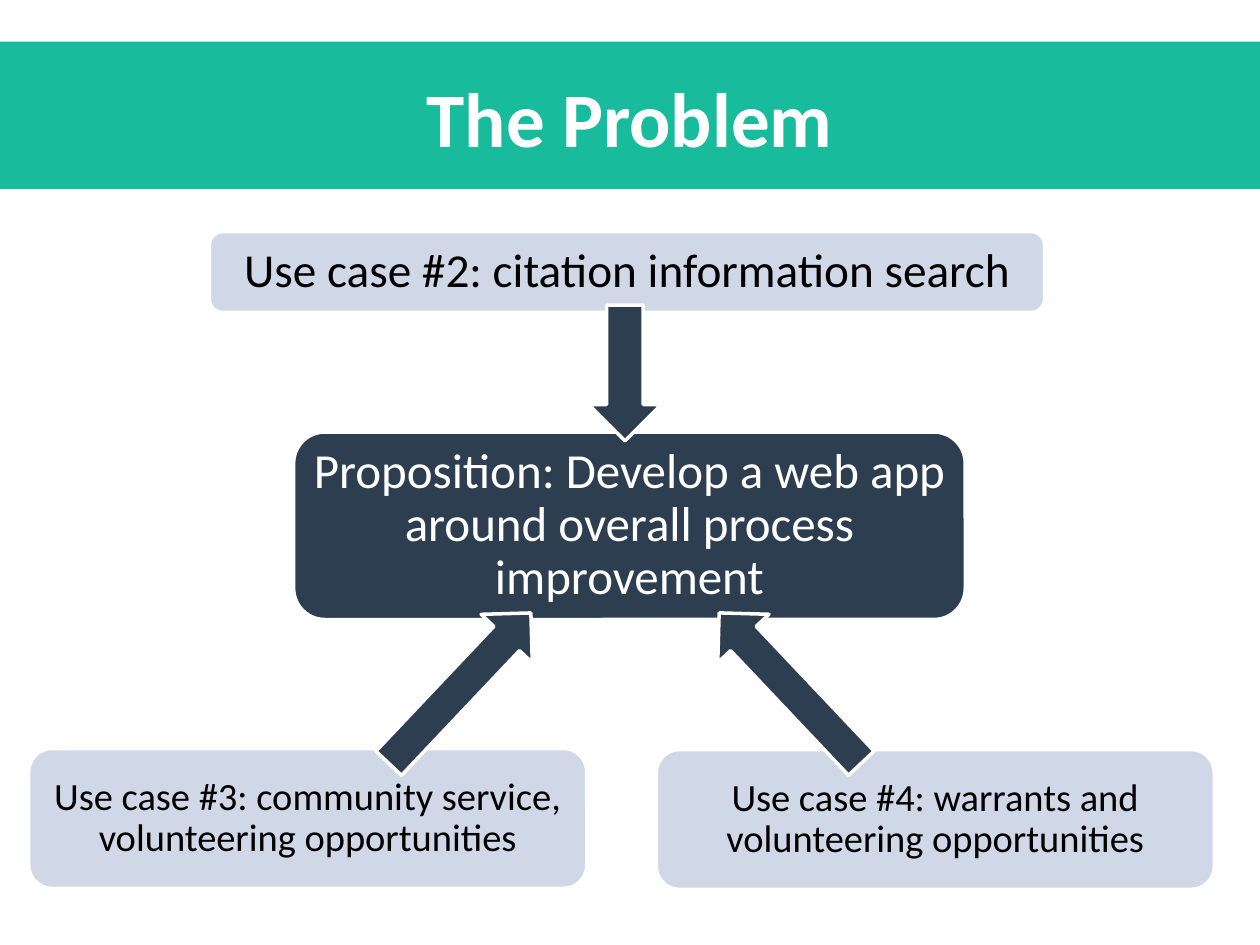
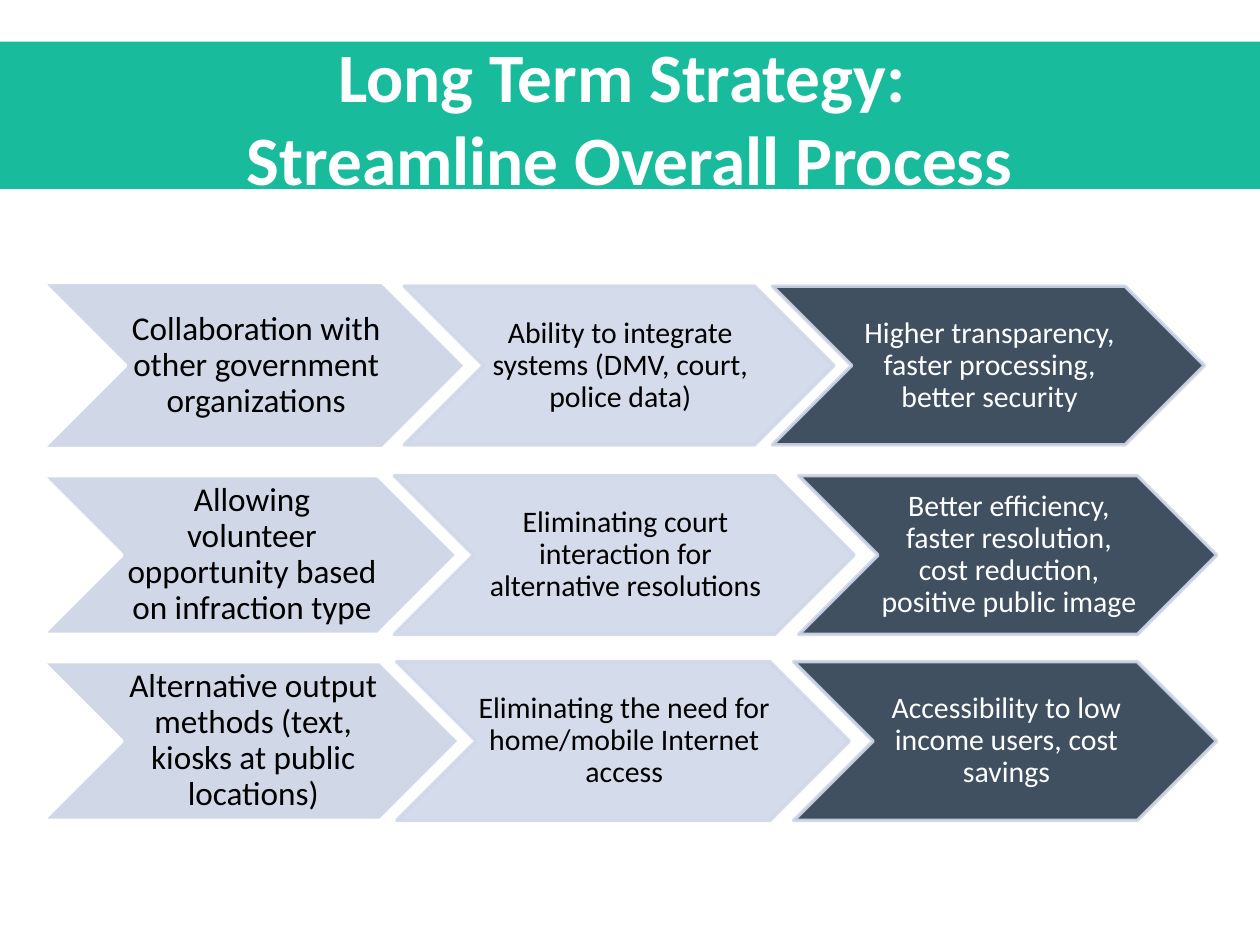
from pptx import Presentation
from pptx.dml.color import RGBColor
from pptx.enum.shapes import MSO_SHAPE as Shape
from pptx.enum.text import MSO_ANCHOR as Anchor, PP_ALIGN as Align
from pptx.oxml import parse_xml
from pptx.oxml.ns import nsdecls
from pptx.util import Cm, Pt

COLORS = {"green": "18BC9C", "navy": "2C3E50", "pale": "D0D8E8",
          "white": "FFFFFF", "black": "000000"}
FONT = "Calibri"

# Slide 1: text, (left, top, width, height) in cm, fill, text colour, size, inset
PROBLEM = "The Problem"
BOXES = [
    ("Proposition: Develop a web app around overall process improvement",
     (5.92, 8.71, 13.54, 3.78), "navy", "white", 28, 0.2),
    ("Use case #2: citation information search",
     (4.22, 4.67, 16.84, 1.63), "pale", "black", 27, 0.18),
    ("Use case #4: warrants and volunteering opportunities",
     (13.23, 15.11, 11.25, 2.82), "pale", "black", 22, 0.15),
    ("Use case #3: community service, volunteering opportunities",
     (0.58, 15.09, 11.25, 2.82), "pale", "black", 22, 0.15),
]
# Arrows: offset from their common axis, centre y, width, length, rotation
ARROW_AXIS = 12.6
ARROWS = [(0, 7.52, 1.47, 2.74, 0),
          (3.33, 13.87, 1.42, 4.17, 136.6),
          (-3.33, 13.87, 1.42, 4.17, 223.4)]

# Slide 2: rows as (centre y, height of the first chevron, cells);
# each cell is (text, left, width)
STRATEGY = "Long Term Strategy: \vStreamline Overall Process"
ROWS = [
    (7.37, 3.35, [
        ("Collaboration with other government organizations", 0.86, 8.53),
        ("Ability to integrate systems (DMV, court, police data)", 8.15, 8.66),
        ("Higher transparency, faster processing, better security", 15.57, 8.71)]),
    (11.19, 3.2, [
        ("Allowing volunteer opportunity based on infraction type", 0.86, 8.36),
        ("Eliminating court interaction for alternative resolutions", 7.95, 9.27),
        ("Better efficiency, faster resolution, cost reduction, "
         "positive public image", 16.1, 8.43)]),
    (14.94, 3.2, [
        ("Alternative output methods (text, kiosks at public locations)", 0.86, 8.41),
        ("Eliminating the need for home/mobile Internet access", 8.0, 9.12),
        ("Accessibility to low income users, cost savings", 16.0, 8.53)]),
]
STEP_HEIGHT = 3.2
# Column style: fill, line, text colour, size, left inset, opacity in percent
COLUMNS = [("pale", "white", "black", 19, 0.08, 100),
           ("pale", "pale", "black", 17, 0.05, 90),
           ("navy", "pale", "white", 17, 0.05, 90)]


def rgb(name):
    return RGBColor.from_string(COLORS[name])


def write(sp, text, size, color="black", bold=False, spacing=None,
          insets=(0.25, 0.13, 0.25, 0.13)):
    tf = sp.text_frame
    tf.word_wrap = True
    tf.vertical_anchor = Anchor.MIDDLE
    (tf.margin_left, tf.margin_top,
     tf.margin_right, tf.margin_bottom) = [Cm(i) for i in insets]
    p = tf.paragraphs[0]
    p.text = text
    p.alignment = Align.CENTER
    if spacing:
        p.line_spacing = spacing
    for r in p.runs:
        r.font.name, r.font.size, r.font.bold = FONT, Pt(size), bold
        r.font.color.rgb = rgb(color)


def add_shape(s, kind, at, fill, line=None, opacity=100):
    sp = s.shapes.add_shape(kind, *[Cm(v) for v in at])
    sp.shadow.inherit = False
    sp.fill.solid()
    sp.fill.fore_color.rgb = rgb(fill)
    if line:
        sp.line.color.rgb = rgb(line)
        sp.line.width = Pt(2)
    else:
        sp.line.fill.background()
    if opacity < 100:
        for clr in sp._element.spPr.xpath(".//a:srgbClr"):
            clr.append(parse_xml(
                f'<a:alpha {nsdecls("a")} val="{opacity * 1000}"/>'))
    return sp


def add_slide(prs, title, size):
    s = prs.slides.add_slide(prs.slide_layouts[6])
    add_shape(s, Shape.RECTANGLE, (-0.64, 0.84, 26.67, 2.97), "green")
    box = s.shapes.add_textbox(Cm(1.27), Cm(0.76), Cm(22.86), Cm(3.18))
    write(box, title, size, color="white", bold=True)
    return s


prs = Presentation()
prs.slide_width, prs.slide_height = Cm(25.4), Cm(19.05)

# Use cases pointing at the proposition
s = add_slide(prs, PROBLEM, 44)
for text, at, fill, color, size, inset in BOXES:
    sp = add_shape(s, Shape.ROUNDED_RECTANGLE, at, fill, "white")
    write(sp, text, size, color=color, spacing=0.9, insets=(inset,) * 4)
for dx, cy, w, h, angle in ARROWS:
    at = (ARROW_AXIS + dx - w / 2, cy - h / 2, w, h)
    add_shape(s, Shape.DOWN_ARROW, at, "navy", "white").rotation = angle

# Three rows of chevrons leading to a benefit
s = add_slide(prs, STRATEGY, 39.6)
for cy, first_height, cells in ROWS:
    heights = (first_height, STEP_HEIGHT, STEP_HEIGHT)
    for (text, left, w), h, style in zip(cells, heights, COLUMNS):
        fill, line, color, size, inset, opacity = style
        sp = add_shape(s, Shape.CHEVRON, (left, cy - h / 2, w, h),
                       fill, line, opacity)
        write(sp, text, size, color=color, spacing=0.9,
              insets=(inset, 0.03, 0, 0.03))

prs.save("out.pptx")
